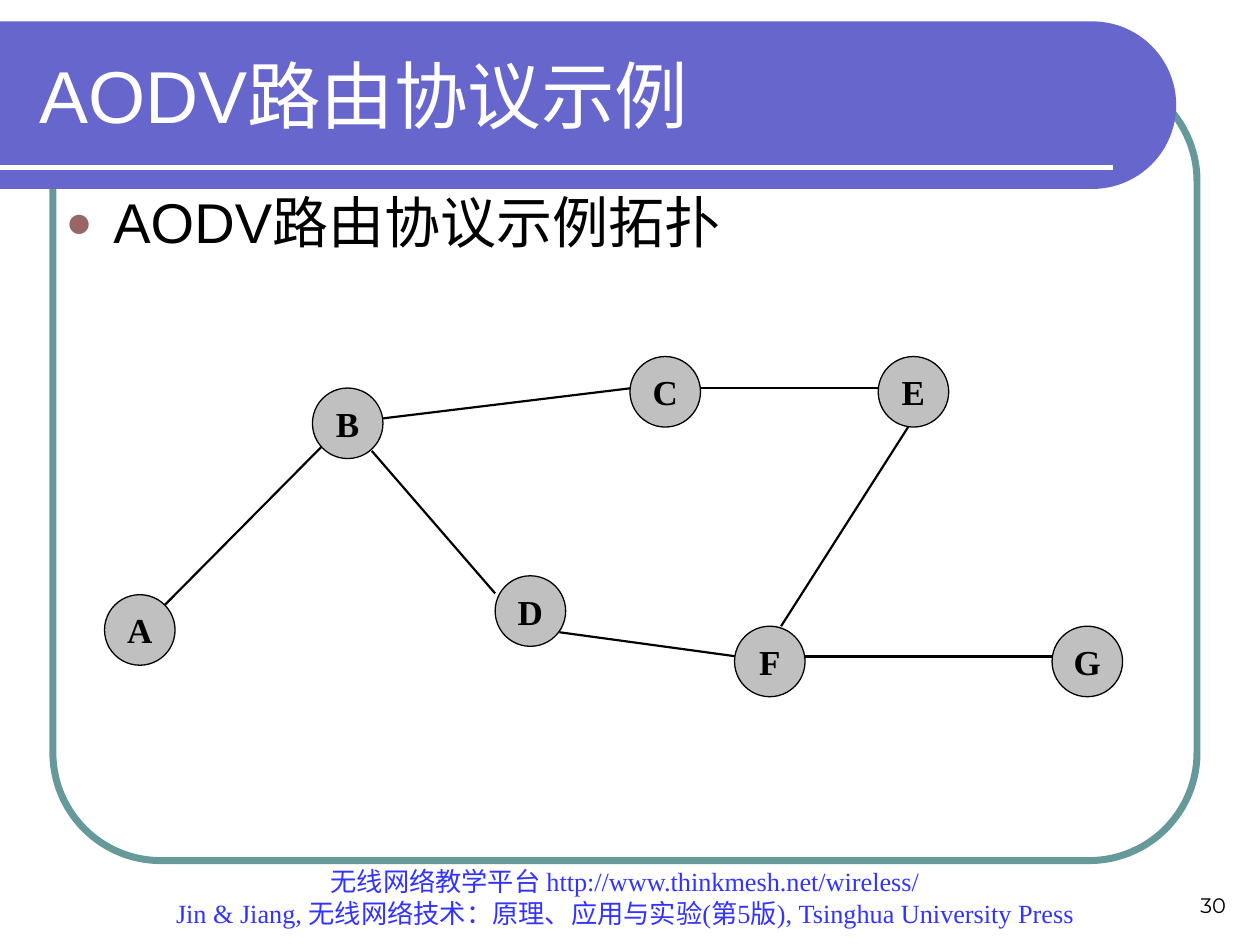
from math import cos, pi, sin

from lxml import etree
from pptx import Presentation
from pptx.dml.color import RGBColor
from pptx.enum.shapes import MSO_CONNECTOR, MSO_SHAPE
from pptx.enum.text import MSO_ANCHOR as ANCHOR, MSO_AUTO_SIZE, PP_ALIGN as ALIGN
from pptx.oxml.ns import qn
from pptx.util import Inches, Pt

TITLE = "AODV路由协议示例"
BODY = "AODV路由协议示例拓扑"
FOOTER = [
    "无线网络教学平台 http://www.thinkmesh.net/wireless/",
    "Jin & Jiang, 无线网络技术：原理、应用与实验(第5版), Tsinghua University Press",
]
PAGE = "30"

NODE = 0.56
NODES = {  # left, top
    "A": (0.83, 4.72), "B": (2.48, 3.08), "C": (5, 2.83), "D": (3.93, 4.57),
    "E": (6.97, 2.83), "F": (5.83, 4.97), "G": (8.35, 4.97),
}
LINKS = [  # node and contact point, as shares of the node's size
    ("A", 0.86, 0.14, "B", 0.21, 0.75),
    ("B", 1, 0.43, "C", 0, 0.45),
    ("C", 1, 0.45, "E", 0, 0.45),
    ("B", 0.84, 0.89, "D", 0, 0.25),
    ("D", 0.91, 0.8, "F", 0.04, 0.43),
    ("F", 0.66, 0, "E", 0.5, 0.88),
    ("F", 1, 0.43, "G", 0, 0.43),
]

SERIF = "Times New Roman"
TITLE_FONT = dict(name="Arial", size=42, color="FFFFFF")
BODY_FONT = dict(name="Arial", size=32, color="000000")
FOOTER_FONT = dict(name=SERIF, size=15, color="3333FF")
PAGE_FONT = dict(name="Montserrat", size=12, color="000000")
NODE_FONT = dict(name=SERIF, size=20, color="000000", bold=True)


def rgb(value):
    return RGBColor.from_string(value)


def write(sp, lines, font, align, anchor, inset=None):
    tf = sp.text_frame
    tf.text = "\n".join(lines)
    tf.word_wrap, tf.auto_size, tf.vertical_anchor = True, MSO_AUTO_SIZE.NONE, anchor
    if inset is not None:
        for side in ("left", "top", "right", "bottom"):
            setattr(tf, f"margin_{side}", Inches(inset))
    for p in tf.paragraphs:
        p.alignment, p.space_before = align, Pt(0)
        for r in p.runs:
            for key, value in font.items():
                if key == "color":
                    r.font.color.rgb = rgb(value)
                else:
                    setattr(r.font, key, Pt(value) if key == "size" else value)


def paint(sp, fill=None, line=None, width=1):
    sp.shadow.inherit = False
    if fill:
        sp.fill.solid()
        sp.fill.fore_color.rgb = rgb(fill)
    else:
        sp.fill.background()
    if line:
        sp.line.color.rgb, sp.line.width = rgb(line), Pt(width)
    else:
        sp.line.fill.background()


def connect(s, start, end, color, width):
    c = s.shapes.add_connector(MSO_CONNECTOR.STRAIGHT, *map(Inches, start + end))
    c.line.color.rgb, c.line.width = rgb(color), Pt(width)
    etree.SubElement(c._element.spPr, qn("a:effectLst"))


def place(sp, *box):
    for key, value in zip(("left", "top", "width", "height"), box):
        setattr(sp, key, Inches(value))


def add_banner(s):
    """Band from the left slide edge with a half-round right end."""
    top, radius, centre = 0.17, 0.665, 8.67
    steps = 48
    angles = [-pi / 2 + pi * i / steps for i in range(steps + 1)]
    arc = [(centre + radius * cos(a), top + radius + radius * sin(a)) for a in angles]
    fb = s.shapes.build_freeform(0, Inches(top), scale=1.0)
    fb.add_line_segments([(Inches(x), Inches(y)) for x, y in arc + [(0, top + 2 * radius)]])
    paint(fb.convert_to_shape(), "6666CC")


def add_bullet(p, char, color, percent):
    pPr = p._p.get_or_add_pPr()
    pPr.set("marL", str(Inches(0.38)))
    pPr.set("indent", str(-Inches(0.38)))
    clr = etree.SubElement(pPr, qn("a:buClr"))
    etree.SubElement(clr, qn("a:srgbClr"), val=color)
    etree.SubElement(pPr, qn("a:buSzPct"), val=str(percent * 1000))
    etree.SubElement(pPr, qn("a:buChar"), char=char)


def contact(node, fx, fy):
    left, top = NODES[node]
    return left + fx * NODE, top + fy * NODE


def main():
    prs = Presentation()
    prs.slide_width, prs.slide_height = Inches(10), Inches(7.5)
    s = prs.slides.add_slide(prs.slide_layouts[1])
    title, body = s.placeholders

    frame = s.shapes.add_shape(MSO_SHAPE.ROUNDED_RECTANGLE,
                               *map(Inches, (0.42, 0.58, 9.08, 6.25)))
    frame.adjustments[0] = 0.137
    paint(frame, line="669999", width=4)
    add_banner(s)
    connect(s, (0, 1.33), (8.83, 1.33), "FFFFFF", 3)

    for box, lines, font, align in (
        ((0.75, 7, 8.42, 0.42), FOOTER, FOOTER_FONT, ALIGN.CENTER),
        ((7.5, 6.83, 2.33, 0.5), [PAGE], PAGE_FONT, ALIGN.RIGHT),
    ):
        write(s.shapes.add_textbox(*map(Inches, box)), lines, font, align, ANCHOR.BOTTOM)

    place(title, 0.21, 0.25, 8.77, 1)
    write(title, [TITLE], TITLE_FONT, ALIGN.LEFT, ANCHOR.MIDDLE)
    place(body, 0.42, 1.5, 8.92, 0.58)
    write(body, [BODY], BODY_FONT, ALIGN.LEFT, ANCHOR.TOP)
    p = body.text_frame.paragraphs[0]
    add_bullet(p, "●", "996666", 80)
    p.line_spacing = 0.9
    for sp in (title, body):  # bring in front of the banner
        s.shapes._spTree.append(sp._element)

    for a, ax, ay, b, bx, by in LINKS:
        connect(s, contact(a, ax, ay), contact(b, bx, by), "000000", 1.25)
    for name, corner in NODES.items():
        sp = s.shapes.add_shape(MSO_SHAPE.OVAL, *map(Inches, corner + (NODE, NODE)))
        paint(sp, "C0C0C0", "000000", 0.75)
        write(sp, [name], NODE_FONT, ALIGN.CENTER, ANCHOR.MIDDLE, inset=0)

    prs.save("out.pptx")


if __name__ == "__main__":
    main()
